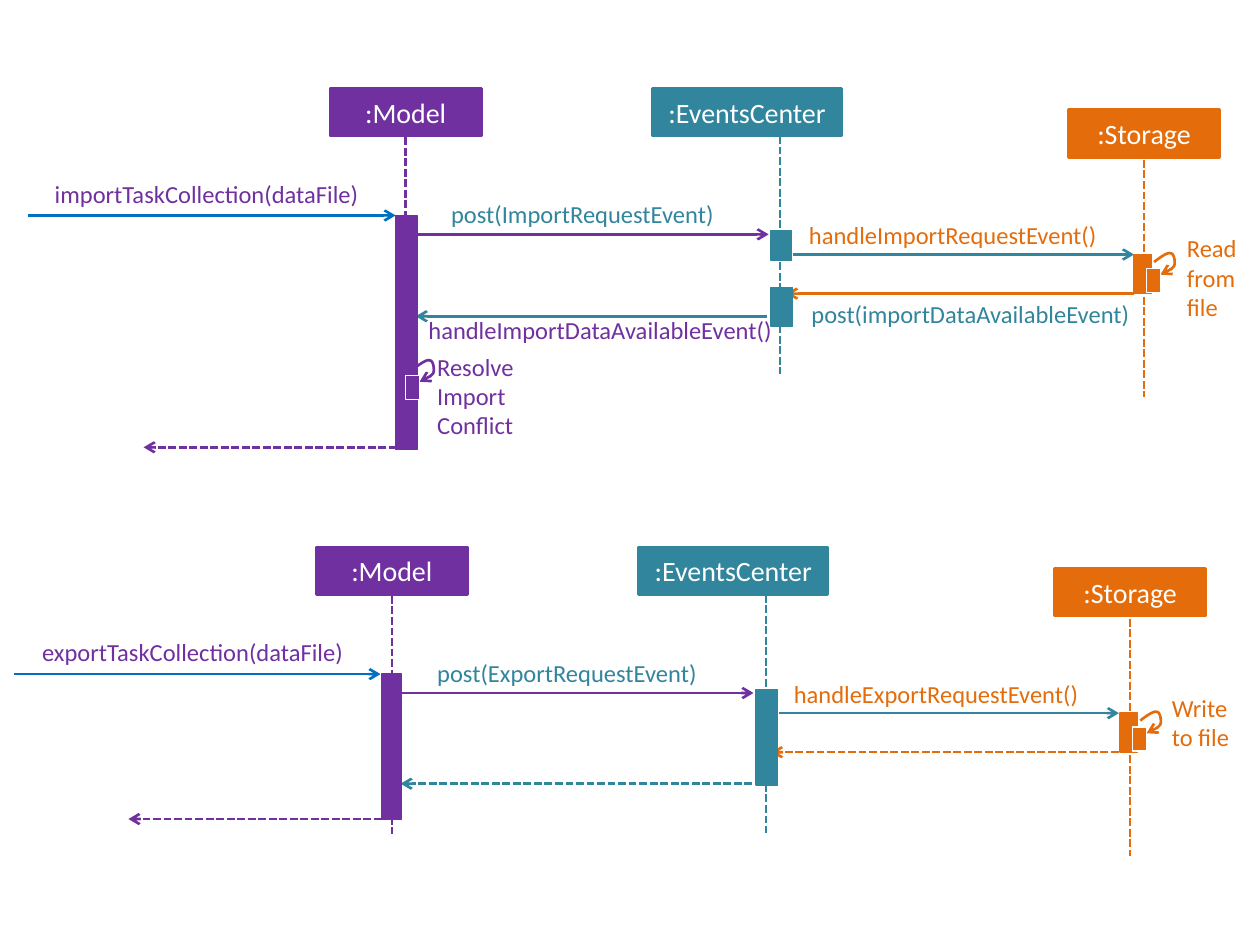
from lxml.etree import SubElement
from pptx import Presentation
from pptx.dml.color import RGBColor
from pptx.enum.dml import MSO_LINE
from pptx.enum.shapes import MSO_CONNECTOR, MSO_SHAPE
from pptx.enum.text import MSO_ANCHOR, MSO_AUTO_SIZE, PP_ALIGN
from pptx.oxml.ns import qn
from pptx.util import Inches, Pt

PURPLE, TEAL, ORANGE = "7030A0", "31859C", "E46C0A"
BLUE, WHITE = "0070C0", "FFFFFF"
LABEL_FORMAT = {
    "margin_left": 0, "margin_top": 0, "margin_right": 0, "margin_bottom": 0,
    "word_wrap": True, "auto_size": MSO_AUTO_SIZE.SHAPE_TO_FIT_TEXT,
}

# Participants: name, colour, head left, top, width, lifeline x, start, end
PARTICIPANTS = [
    (":Model", PURPLE, 2.62, 0.7, 1.2, 3.22, 1.09, 2.98),
    (":EventsCenter", TEAL, 5.18, 0.7, 1.5, 6.19, 1.08, 2.97),
    (":Storage", ORANGE, 8.48, 0.87, 1.2, 9.08, 1.27, 3.15),
]
# Self-call curve as cubic Bezier points, measured from its small bar
LOOP = [(0.06, -0.05), (0.11, -0.09), (0.17, -0.13), (0.19, -0.12),
        (0.22, -0.12), (0.23, -0.05), (0.22, -0.02),
        (0.2, 0.01), (0.16, 0.03), (0.11, 0.05)]

# All positions are relative to the offset of their diagram.
# messages: from x, to x, y, colour, dashed
# bars: left, top, width, height, colour
# labels: text, left, top, width, height, colour, alignment
IMPORT = {
    "offset": (0, 0),
    "messages": [
        (0.22, 3.14, 1.71, BLUE, False),
        (3.29, 6.1, 1.86, PURPLE, False),
        (6.29, 9, 2.02, TEAL, False),
        (9, 6.24, 2.33, ORANGE, False),
        (6.09, 3.3, 2.51, TEAL, False),
        (3.15, 1.14, 3.55, PURPLE, True),
    ],
    "bars": [
        (3.14, 1.71, 0.17, 1.86, PURPLE),
        (6.12, 1.83, 0.16, 0.24, TEAL),
        (6.12, 2.28, 0.17, 0.31, TEAL),
        (9, 2.02, 0.14, 0.31, ORANGE),
    ],
    "self_calls": [(9.1, 2.13, ORANGE), (3.22, 2.98, PURPLE)],
    "labels": [
        ("importTaskCollection(dataFile)", 0.22, 1.42, 2.84, 0.24, PURPLE, PP_ALIGN.CENTER),
        ("post(ImportRequestEvent)", 3.58, 1.58, 2.67, 0.24, TEAL, PP_ALIGN.LEFT),
        ("handleImportRequestEvent()", 6.42, 1.75, 2.39, 0.24, ORANGE, PP_ALIGN.LEFT),
        ("Read\nfrom file", 9.42, 1.85, 0.59, 0.71, ORANGE, PP_ALIGN.LEFT),
        ("post(importDataAvailableEvent)", 6.44, 2.37, 2.6, 0.24, TEAL, PP_ALIGN.LEFT),
        ("Resolve Import Conflict", 3.47, 2.79, 0.7, 0.71, PURPLE, PP_ALIGN.LEFT),
        ("handleImportDataAvailableEvent()", 3.4, 2.5, 2.81, 0.24, PURPLE, PP_ALIGN.LEFT),
    ],
}
EXPORT = {
    "offset": (-0.11, 3.64),
    "messages": [
        (0.22, 3.13, 1.71, BLUE, False),
        (3.28, 6.09, 1.86, PURPLE, False),
        (6.29, 8.99, 2.02, TEAL, False),
        (8.99, 6.23, 2.33, ORANGE, True),
        (6.08, 3.29, 2.58, TEAL, True),
        (3.14, 1.13, 2.86, PURPLE, True),
    ],
    "bars": [
        (3.14, 1.71, 0.16, 1.15, PURPLE),
        (6.11, 1.83, 0.17, 0.76, TEAL),
        (9, 2.02, 0.14, 0.31, ORANGE),
    ],
    "self_calls": [(9.1, 2.13, ORANGE)],
    "labels": [
        ("exportTaskCollection(dataFile)", 0.22, 1.42, 2.84, 0.24, PURPLE, PP_ALIGN.CENTER),
        ("post(ExportRequestEvent)", 3.58, 1.58, 2.67, 0.24, TEAL, PP_ALIGN.LEFT),
        ("handleExportRequestEvent()", 6.41, 1.75, 2.39, 0.24, ORANGE, PP_ALIGN.LEFT),
        ("Write to file", 9.41, 1.86, 0.59, 0.47, ORANGE, PP_ALIGN.LEFT),
    ],
}


def style_outline(shape, color, width=1.5, dashed=False, arrow=False):
    """Set the outline, drop the shadow and add an arrowhead at the end."""
    line = shape.line
    line.color.rgb = RGBColor.from_string(color)
    line.width = Pt(width)
    if dashed:
        line.dash_style = MSO_LINE.SQUARE_DOT
    if arrow:
        SubElement(shape.element.spPr.find(qn("a:ln")), qn("a:tailEnd"), type="arrow")
    if hasattr(shape, "shadow"):
        shape.shadow.inherit = False
    else:
        SubElement(shape.element.spPr, qn("a:effectLst"))


def write_text(shape, text, size, color, align):
    shape.text_frame.text = text
    for paragraph in shape.text_frame.paragraphs:
        paragraph.alignment = align
        font = paragraph.runs[0].font
        font.name, font.size = "Calibri", Pt(size)
        font.color.rgb = RGBColor.from_string(color)


prs = Presentation()
prs.slide_width, prs.slide_height = Inches(10), Inches(7.5)
shapes = prs.slides.add_slide(prs.slide_layouts[6]).shapes

for diagram in (IMPORT, EXPORT):
    dx, dy = diagram["offset"]

    # Participant heads
    for name, color, left, top, width, *_ in PARTICIPANTS:
        head = shapes.add_shape(MSO_SHAPE.RECTANGLE, Inches(left + dx), Inches(top + dy),
                                Inches(width), Inches(0.38))
        head.fill.solid()
        head.fill.fore_color.rgb = RGBColor.from_string(color)
        style_outline(head, color)
        write_text(head, name, 16, WHITE, PP_ALIGN.CENTER)
        head.text_frame.vertical_anchor = MSO_ANCHOR.MIDDLE

    # Lifelines, then message arrows
    lifelines = [(x, start, x, end, color, True, False)
                 for _, color, _, _, _, x, start, end in PARTICIPANTS]
    messages = [(start, y, end, y, color, dashed, True)
                for start, end, y, color, dashed in diagram["messages"]]
    for x1, y1, x2, y2, color, dashed, arrow in lifelines + messages:
        connector = shapes.add_connector(MSO_CONNECTOR.STRAIGHT, Inches(x1 + dx), Inches(y1 + dy),
                                         Inches(x2 + dx), Inches(y2 + dy))
        style_outline(connector, color, dashed=dashed, arrow=arrow)

    # Self-call curves
    for left, top, color in diagram["self_calls"]:
        points = [LOOP[0]]
        for first in range(0, len(LOOP) - 1, 3):
            curve = LOOP[first:first + 4]
            for step in range(1, 9):
                t = step / 8
                weights = ((1 - t) ** 3, 3 * t * (1 - t) ** 2, 3 * t ** 2 * (1 - t), t ** 3)
                points.append([sum(w * p[axis] for w, p in zip(weights, curve))
                               for axis in (0, 1)])
        points = [(Inches(left + dx + x), Inches(top + dy + y)) for x, y in points]
        builder = shapes.build_freeform(*points[0])
        builder.add_line_segments(points[1:], close=False)
        loop = builder.convert_to_shape()
        loop.fill.background()
        style_outline(loop, color, arrow=True)

    # Activation bars, with the small white-edged self-call bars on top
    bars = [(*bar, bar[-1]) for bar in diagram["bars"]]
    bars += [(left, top, 0.11, 0.19, color, WHITE) for left, top, color in diagram["self_calls"]]
    for left, top, width, height, color, edge in bars:
        bar = shapes.add_shape(MSO_SHAPE.RECTANGLE, Inches(left + dx), Inches(top + dy),
                               Inches(width), Inches(height))
        bar.fill.solid()
        bar.fill.fore_color.rgb = RGBColor.from_string(color)
        style_outline(bar, edge, 0.75)

    # Message labels
    for text, left, top, width, height, color, align in diagram["labels"]:
        label = shapes.add_textbox(Inches(left + dx), Inches(top + dy),
                                   Inches(width), Inches(height))
        for attribute, value in LABEL_FORMAT.items():
            setattr(label.text_frame, attribute, value)
        write_text(label, text, 14, color, align)

prs.save("out.pptx")
